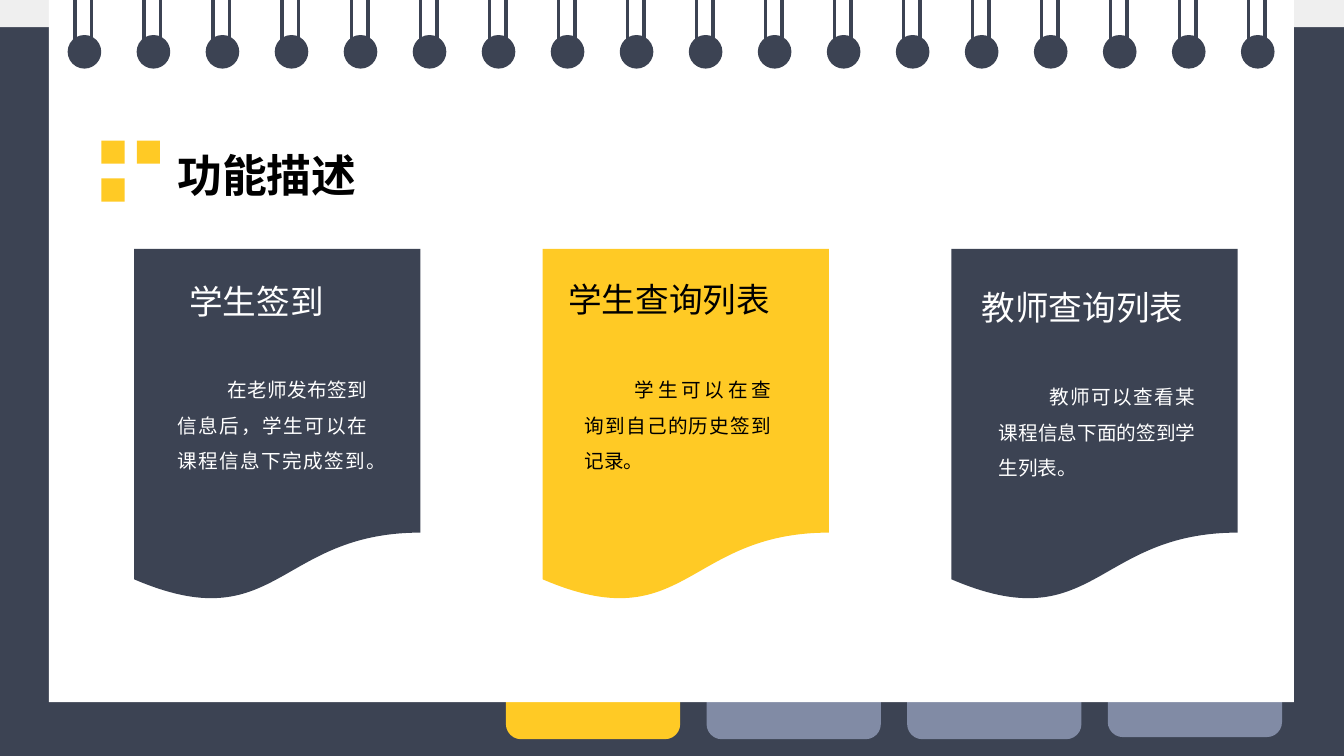
from dataclasses import dataclass

from lxml.etree import SubElement
from pptx import Presentation
from pptx.dml.color import RGBColor
from pptx.enum.shapes import MSO_CONNECTOR, MSO_SHAPE
from pptx.enum.text import MSO_ANCHOR, MSO_AUTO_SIZE, PP_ALIGN
from pptx.oxml.ns import qn
from pptx.shapes.autoshape import Shape
from pptx.util import Pt

NAVY = RGBColor(0x3C, 0x43, 0x53)
SLATE = RGBColor(0x81, 0x8B, 0xA5)
YELLOW = RGBColor(0xFF, 0xCA, 0x25)
PALE = RGBColor(0xEF, 0xEF, 0xEF)
WHITE = RGBColor(0xFF, 0xFF, 0xFF)
BLACK = RGBColor(0, 0, 0)
FONT = "Noto Sans CJK SC"
SLIDE_W, SLIDE_H = 960, 540
LINE_RATIO = 1.21  # line height per point of type


@dataclass(frozen=True)
class Box:
    left: float
    top: float
    width: float
    height: float


@dataclass(frozen=True)
class Card:
    left: float
    fill: RGBColor
    ink: RGBColor
    heading: str
    heading_box: Box
    body: str
    body_box: Box


@dataclass(frozen=True)
class Tab:
    left: float
    top: float
    fill: RGBColor


CARDS = [
    Card(95.8, NAVY, WHITE, "学生签到", Box(128.2, 196.6, 128.9, 36),
         "在老师发布签到信息后，学生可以在课程信息下完成签到。",
         Box(119.5, 257.8, 149.8, 83.5)),
    Card(387.6, YELLOW, BLACK, "学生查询列表", Box(398.9, 195.8, 166.3, 36),
         "学生可以在查询到自己的历史签到记录。",
         Box(410.4, 257.8, 147.6, 83.5)),
    Card(679.6, NAVY, WHITE, "教师查询列表", Box(694.1, 200.9, 166.3, 36),
         "教师可以查看某课程信息下面的签到学生列表。",
         Box(706.3, 262.8, 154.8, 83.5)),
]
TABS = [
    Tab(648, 463, SLATE),
    Tab(504.7, 463, SLATE),
    Tab(791.3, 461.5, SLATE),
    Tab(361.4, 463, YELLOW),
]
RING_COUNT, RING_LEFT, RING_PITCH = 18, 48.3, 49.3
WIRE_OFFSETS = (5.4, 17.2)


def add_block(shapes, kind: MSO_SHAPE, box: Box, fill: RGBColor) -> None:
    sp = shapes.add_shape(kind, Pt(box.left), Pt(box.top),
                          Pt(box.width), Pt(box.height))
    sp.shadow.inherit = False
    sp.fill.solid()
    sp.fill.fore_color.rgb = fill
    sp.line.fill.background()


def add_wire(shapes, x: float) -> None:
    wire = shapes.add_connector(MSO_CONNECTOR.STRAIGHT,
                                Pt(x), Pt(-1.5), Pt(x), Pt(36.7))
    wire.line.color.rgb = NAVY
    wire.line.width = Pt(2.5)
    SubElement(wire.element.spPr, qn("a:effectLst"))


def write(sp: Shape, text: str, size: float, color: RGBColor, align: PP_ALIGN,
          spacing: float = 1, indent: float = 0, bold: bool = False) -> None:
    tf = sp.text_frame
    tf.text = text
    tf.word_wrap = True
    tf.auto_size = MSO_AUTO_SIZE.SHAPE_TO_FIT_TEXT
    tf.vertical_anchor = MSO_ANCHOR.TOP
    p = tf.paragraphs[0]
    p.alignment = align
    p.line_spacing = Pt(size * LINE_RATIO * spacing)
    if indent:
        p._p.get_or_add_pPr().set("indent", str(Pt(indent)))
    r = p.runs[0]
    r.font.size = Pt(size)
    r.font.bold = bold
    r.font.color.rgb = color
    r.font.name = FONT
    SubElement(r.font._element, qn("a:ea"), typeface=FONT)


def add_text(shapes, box: Box, text: str, size: float, color: RGBColor,
             spacing: float = 1, indent: float = 0) -> None:
    sp = shapes.add_textbox(Pt(box.left), Pt(box.top),
                            Pt(box.width), Pt(box.height))
    write(sp, text, size, color, PP_ALIGN.JUSTIFY, spacing, indent)


def add_notepad(shapes) -> None:
    pad = shapes.add_group_shape().shapes
    add_block(pad, MSO_SHAPE.RECTANGLE, Box(34.9, 0, 889.3, 501.6), WHITE)
    for i in range(RING_COUNT):
        left = RING_LEFT + i * RING_PITCH
        add_block(pad, MSO_SHAPE.OVAL, Box(left, 25, 24, 24), NAVY)
        for offset in WIRE_OFFSETS:
            add_wire(pad, left + offset)


def add_title(slide) -> None:
    squares = slide.shapes.add_group_shape().shapes
    for left, top in ((72.5, 100.5), (97.8, 100.5), (72.5, 127.5)):
        add_block(squares, MSO_SHAPE.RECTANGLE, Box(left, top, 16.5, 16.5), YELLOW)
    title = slide.shapes.title
    title.left, title.top = Pt(119.5), Pt(101.5)
    title.width, title.height = Pt(159), Pt(46)
    write(title, "功能描述", 32, BLACK, PP_ALIGN.LEFT, bold=True)
    title.element.getparent().append(title.element)  # bring to front


def add_card(shapes, card: Card) -> None:
    add_text(shapes, card.heading_box, card.heading, 24, card.ink)
    add_text(shapes, card.body_box, card.body, 14, card.ink, 1.5, 36)


def main() -> None:
    prs = Presentation()
    prs.slide_width, prs.slide_height = Pt(SLIDE_W), Pt(SLIDE_H)
    slide = prs.slides.add_slide(prs.slide_layouts[5])
    shapes = slide.shapes

    add_block(shapes, MSO_SHAPE.RECTANGLE, Box(0, 0, SLIDE_W, SLIDE_H), NAVY)
    add_block(shapes, MSO_SHAPE.RECTANGLE, Box(0, 0, SLIDE_W, 19.5), PALE)
    for tab in TABS:
        add_block(shapes, MSO_SHAPE.ROUNDED_RECTANGLE,
                  Box(tab.left, tab.top, 124.5, 65), tab.fill)
    add_notepad(shapes)
    add_title(slide)
    for card in CARDS:
        add_block(shapes, MSO_SHAPE.FLOWCHART_DOCUMENT,
                  Box(card.left, 177.8, 204.5, 252.7), card.fill)
    for card in CARDS:
        add_card(shapes, card)
    prs.save("out.pptx")


if __name__ == "__main__":
    main()
